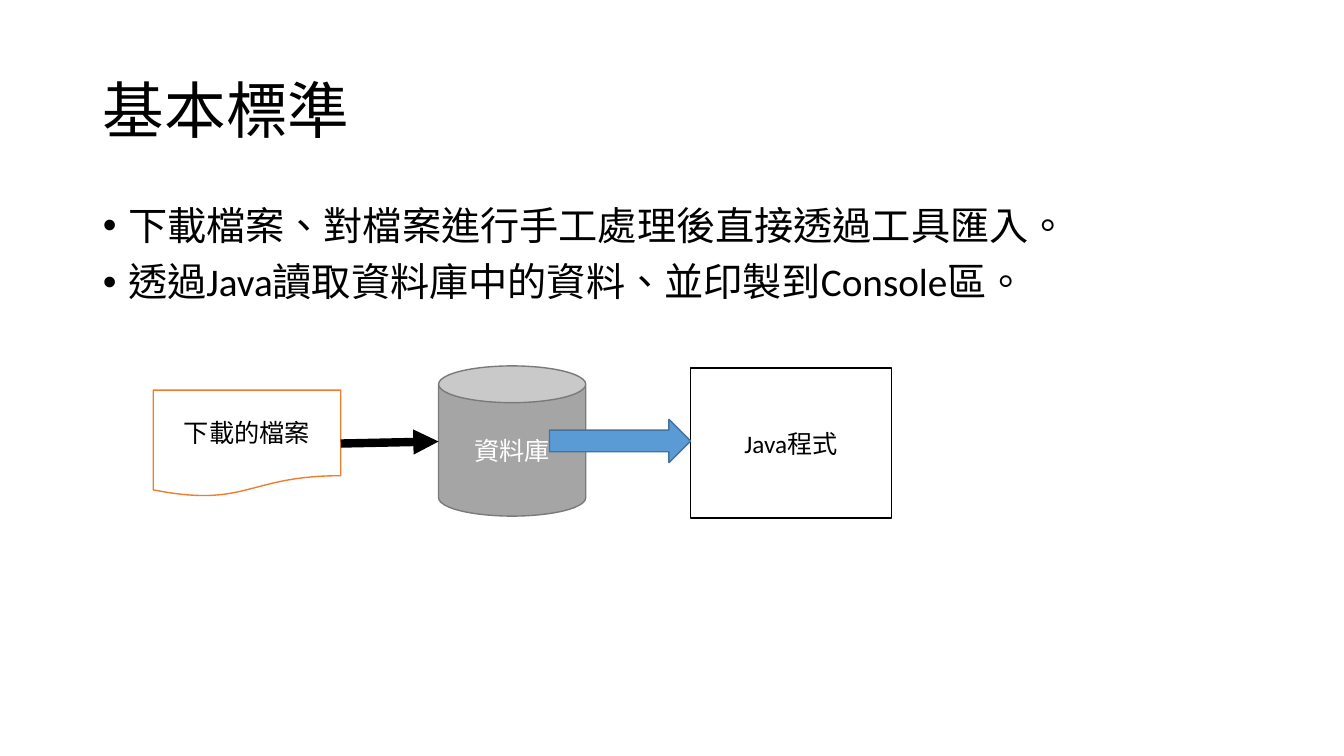
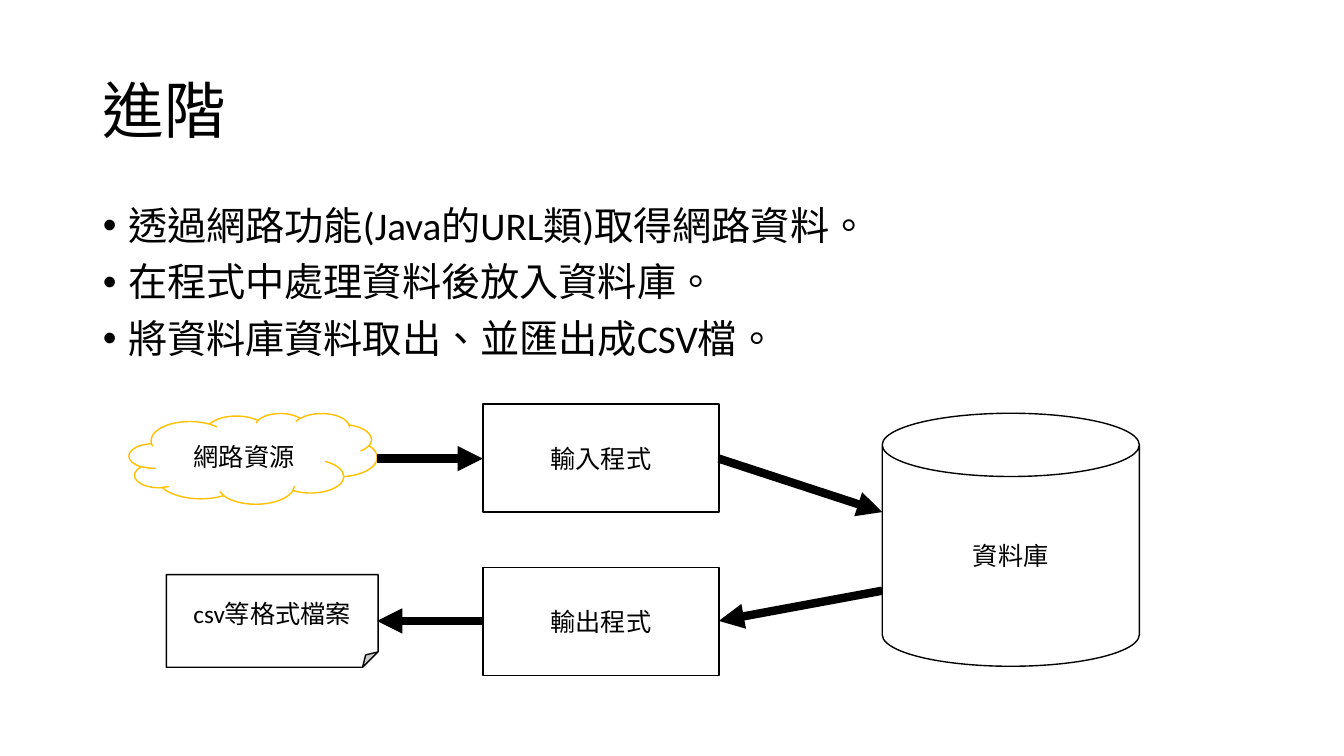
from lxml.etree import SubElement
from pptx import Presentation
from pptx.dml.color import RGBColor
from pptx.enum.lang import MSO_LANGUAGE_ID as LANG
from pptx.enum.shapes import MSO_CONNECTOR, MSO_SHAPE as SHAPE
from pptx.enum.text import MSO_ANCHOR as ANCHOR, MSO_AUTO_SIZE as FIT, PP_ALIGN as ALIGN
from pptx.oxml.ns import qn
from pptx.util import Inches, Pt

FONT = "Calibri"
BLACK, WHITE, ORANGE, GOLD = "000000", "FFFFFF", "ED7D31", "FFC000"
GRAY, DARK_GRAY, BLUE, DARK_BLUE = "A5A5A5", "7A7A7A", "5B9BD5", "43739E"
TITLE_BOX = (0.92, 0.4, 11.5, 1.45)
BODY_BOX = (0.92, 2, 11.5, 4.76)


def write(sp, lines, size=18, color=BLACK, align=ALIGN.CENTER, anchor=ANCHOR.MIDDLE,
          spacing=None, before=0, bullet=False):
    """Fill a shape with one formatted paragraph per line."""
    tf = sp.text_frame
    tf.word_wrap, tf.auto_size, tf.vertical_anchor = True, FIT.NONE, anchor
    for i, line in enumerate(lines):
        p = tf.add_paragraph() if i else tf.paragraphs[0]
        p.alignment, p.line_spacing, p.space_before = align, spacing, Pt(before)
        if bullet:
            pPr = p._p.get_or_add_pPr()
            pPr.set("marL", str(Inches(0.25)))
            pPr.set("indent", str(-Inches(0.25)))
            SubElement(pPr, qn("a:buFont"), typeface="Arial")
            SubElement(pPr, qn("a:buChar"), char="•")
        r = p.add_run()
        r.text = line
        r.font.name, r.font.size = FONT, Pt(size)
        r.font.language_id = LANG.TRADITIONAL_CHINESE
        r.font.color.rgb = RGBColor.from_string(color)


# Nodes: shape, box, text, fill, line, text colour. Arrows: start x, y, end x, y.
slides = [
    dict(title="基本標準",
         bullets=["下載檔案、對檔案進行手工處理後直接透過工具匯入。",
                  "透過Java讀取資料庫中的資料、並印製到Console區。"],
         nodes=[
             (SHAPE.FLOWCHART_DOCUMENT, (1.52, 3.87, 1.86, 1.06), "下載的檔案", WHITE, ORANGE, BLACK),
             (SHAPE.CAN, (4.35, 3.63, 1.46, 1.49), "資料庫", GRAY, DARK_GRAY, WHITE),
             (SHAPE.FLOWCHART_PROCESS, (6.85, 3.65, 1.99, 1.49), "Java程式", WHITE, BLACK, BLACK),
             (SHAPE.RIGHT_ARROW, (5.45, 4.16, 1.4, 0.43), "", BLUE, DARK_BLUE, WHITE)],
         arrows=[(3.38, 4.4, 4.35, 4.38)]),
    dict(title="進階",
         bullets=["透過網路功能(Java的URL類)取得網路資料。",
                  "在程式中處理資料後放入資料庫。",
                  "將資料庫資料取出、並匯出成CSV檔。"],
         nodes=[
             (SHAPE.CLOUD, (1.28, 4.1, 2.46, 0.9), "網路資源", WHITE, GOLD, BLACK),
             (SHAPE.FLOWCHART_PROCESS, (4.79, 4.01, 2.34, 1.07), "輸入程式", WHITE, BLACK, BLACK),
             (SHAPE.CAN, (8.75, 4.1, 2.55, 2.51), "資料庫", WHITE, BLACK, BLACK),
             (SHAPE.FLOWCHART_PROCESS, (4.79, 5.63, 2.34, 1.07), "輸出程式", WHITE, BLACK, BLACK),
             (SHAPE.FOLDED_CORNER, (1.65, 5.7, 2.1, 0.92), "csv等格式檔案", WHITE, BLACK, BLACK)],
         arrows=[(3.74, 4.55, 4.79, 4.55), (7.13, 4.55, 8.75, 5.08),
                 (8.75, 5.86, 7.13, 6.16), (4.79, 6.16, 3.74, 6.16)]),
]

prs = Presentation()
prs.slide_width, prs.slide_height = Inches(13.33), Inches(7.5)

for content in slides:
    s = prs.slides.add_slide(prs.slide_layouts[1])
    title, body = s.shapes.title, s.placeholders[1]
    for sp, box in ((title, TITLE_BOX), (body, BODY_BOX)):
        sp.left, sp.top, sp.width, sp.height = map(Inches, box)
    write(title, [content["title"]], size=44, align=ALIGN.LEFT, spacing=0.9)
    write(body, content["bullets"], size=28, align=ALIGN.LEFT, anchor=ANCHOR.TOP,
          spacing=0.9, before=10, bullet=True)

    for kind, box, text, fill, line, color in content["nodes"]:
        sp = s.shapes.add_shape(kind, *map(Inches, box))
        sp.shadow.inherit = False
        sp.fill.solid()
        sp.fill.fore_color.rgb = RGBColor.from_string(fill)
        sp.line.color.rgb = RGBColor.from_string(line)
        sp.line.width = Pt(1)
        if text:
            write(sp, [text], color=color)

    for ends in content["arrows"]:
        arrow = s.shapes.add_connector(MSO_CONNECTOR.STRAIGHT, *map(Inches, ends))
        arrow.line.color.rgb = RGBColor.from_string(BLACK)
        arrow.line.width = Pt(6)
        SubElement(arrow.line._get_or_add_ln(), qn("a:tailEnd"), type="triangle")
        SubElement(arrow._element.spPr, qn("a:effectLst"))

prs.save("out.pptx")
